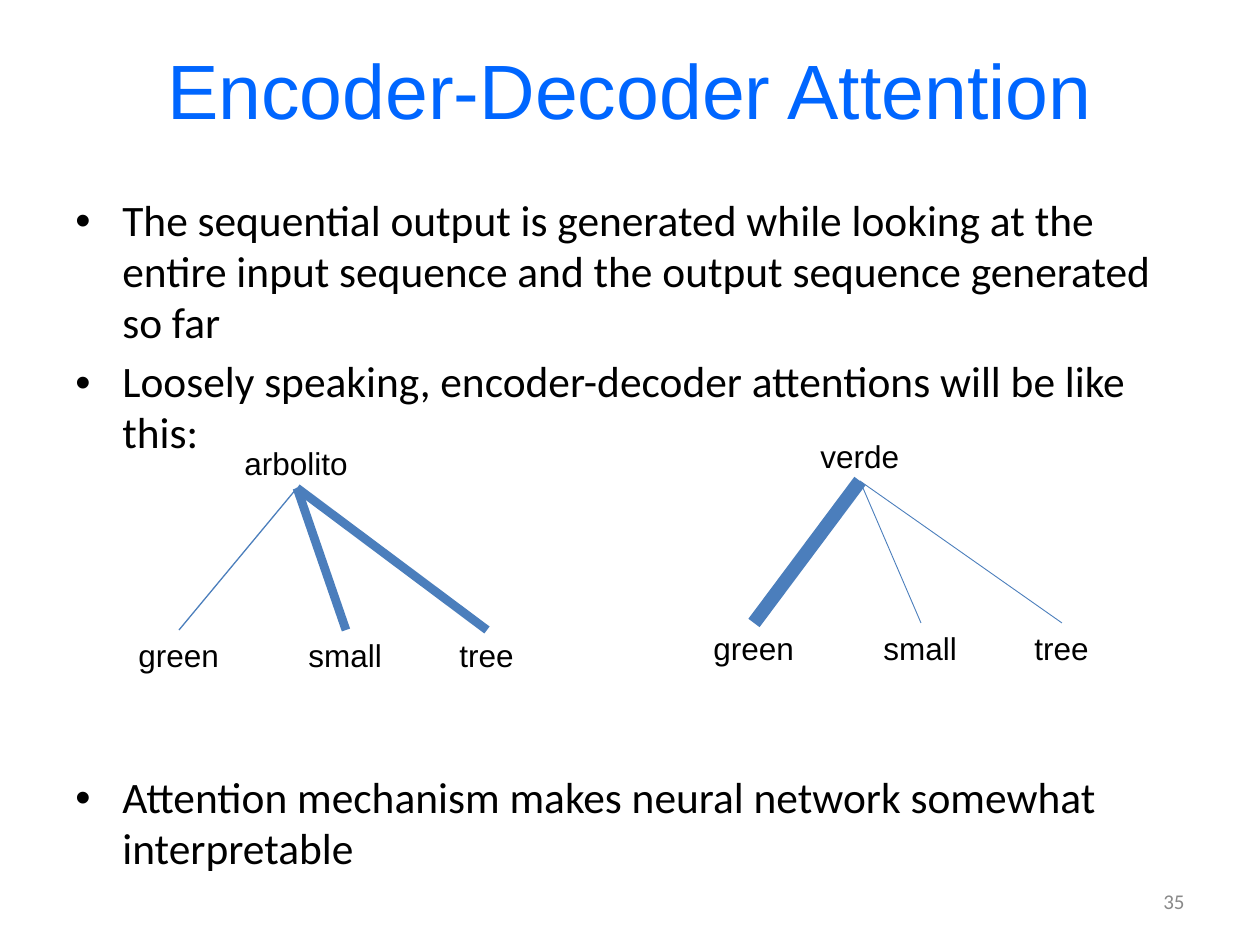
from dataclasses import dataclass

from lxml.etree import SubElement
from pptx import Presentation
from pptx.dml.color import RGBColor as Rgb
from pptx.enum.shapes import MSO_CONNECTOR as Link
from pptx.enum.text import MSO_ANCHOR as Anchor, PP_ALIGN as Align
from pptx.oxml.ns import qn
from pptx.util import Emu, Pt

PX = 914400 / 126
BLACK = Rgb(0x00, 0x00, 0x00)
AZURE = Rgb(0x00, 0x66, 0xFF)
STEEL = Rgb(0x4B, 0x7E, 0xBC)
GRAY = Rgb(0x89, 0x89, 0x89)


def px(num: int) -> Emu:
    return Emu(round(num * PX))


@dataclass(frozen=True)
class Box:
    left: int
    top: int
    wide: int
    high: int


@dataclass(frozen=True)
class Face:
    name: str
    size: float
    color: Rgb


@dataclass(frozen=True)
class Word:
    text: str
    mid: int
    wide: int


@dataclass(frozen=True)
class Tree:
    root: Word
    top: int
    shift: int
    base: int
    lines: tuple[float, ...]


TITLE = Face("Arial", 44, AZURE)
BODY = Face("Calibri", 24.8, BLACK)
LABEL = Face("Arial", 18, BLACK)
NUMBER = Face("Calibri", 12, GRAY)

HIGH = 50
INDENT = 47
LEAVES = (Word("green", 179, 107), Word("small", 346, 100), Word("tree", 487, 81))
TREES = (
    Tree(Word("arbolito", 297, 130), 438, 0, 630, (0.75, 5, 5)),
    Tree(Word("verde", 860, 105), 431, 575, 623, (8, 0.5, 0.5)),
)
POINTS = (
    ("The sequential output is generated while looking at the entire input "
     "sequence and the output sequence generated so far", 0),
    ("Loosely speaking, encoder-decoder attentions will be like this:", 5),
    ("Attention mechanism makes neural network somewhat interpretable", 179),
)


def style(para, face: Face, align: Align) -> None:
    para.alignment = align
    for run in para.runs:
        run.font.name = face.name
        run.font.size = Pt(face.size)
        run.font.color.rgb = face.color


def frame(slide, box: Box, wrap: bool = True, anchor: Anchor = Anchor.TOP):
    shape = slide.shapes.add_textbox(
        px(box.left), px(box.top), px(box.wide), px(box.high))
    text = shape.text_frame
    text.word_wrap = wrap
    text.vertical_anchor = anchor
    return text


def write(slide, box: Box, text: str, face: Face, align: Align) -> None:
    area = frame(slide, box, anchor=Anchor.MIDDLE)
    area.text = text
    style(area.paragraphs[0], face, align)


def bullet(para) -> None:
    props = para._p.get_or_add_pPr()
    props.set("marL", str(px(INDENT)))
    props.set("indent", str(px(-INDENT)))
    SubElement(props, qn("a:buFont")).set("typeface", "Arial")
    SubElement(props, qn("a:buChar")).set("char", "•")


def points(slide, box: Box) -> None:
    area = frame(slide, box)
    for num, (text, gap) in enumerate(POINTS):
        para = area.add_paragraph() if num else area.paragraphs[0]
        para.text = text
        bullet(para)
        para.line_spacing = 0.98
        para.space_before = Pt(gap)
        style(para, BODY, Align.LEFT)


def label(slide, word: Word, mid: int, top: int) -> None:
    box = Box(mid - word.wide // 2, top, word.wide, HIGH)
    area = frame(slide, box, wrap=False)
    area.text = word.text
    style(area.paragraphs[0], LABEL, Align.LEFT)


def branch(slide, start: tuple[int, int], end: tuple[int, int], width: float) -> None:
    line = slide.shapes.add_connector(
        Link.STRAIGHT, *map(px, start), *map(px, end))
    line.line.color.rgb = STEEL
    line.line.width = Pt(width)
    SubElement(line._element.spPr, qn("a:effectLst"))


def draw(slide, tree: Tree) -> None:
    label(slide, tree.root, tree.root.mid, tree.top)
    start = (tree.root.mid, tree.top + HIGH)
    for leaf, width in zip(LEAVES, tree.lines):
        mid = leaf.mid + tree.shift
        label(slide, leaf, mid, tree.base)
        branch(slide, start, (mid, tree.base), width)


def main() -> None:
    deck = Presentation()
    deck.slide_width, deck.slide_height = px(1260), px(945)
    slide = deck.slides.add_slide(deck.slide_layouts[6])
    write(slide, Box(63, 10, 1134, 158), "Encoder-Decoder Attention", TITLE, Align.CENTER)
    points(slide, Box(63, 189, 1134, 714))
    write(slide, Box(903, 876, 294, HIGH), "35", NUMBER, Align.RIGHT)
    for tree in TREES:
        draw(slide, tree)
    deck.save("out.pptx")


if __name__ == "__main__":
    main()
